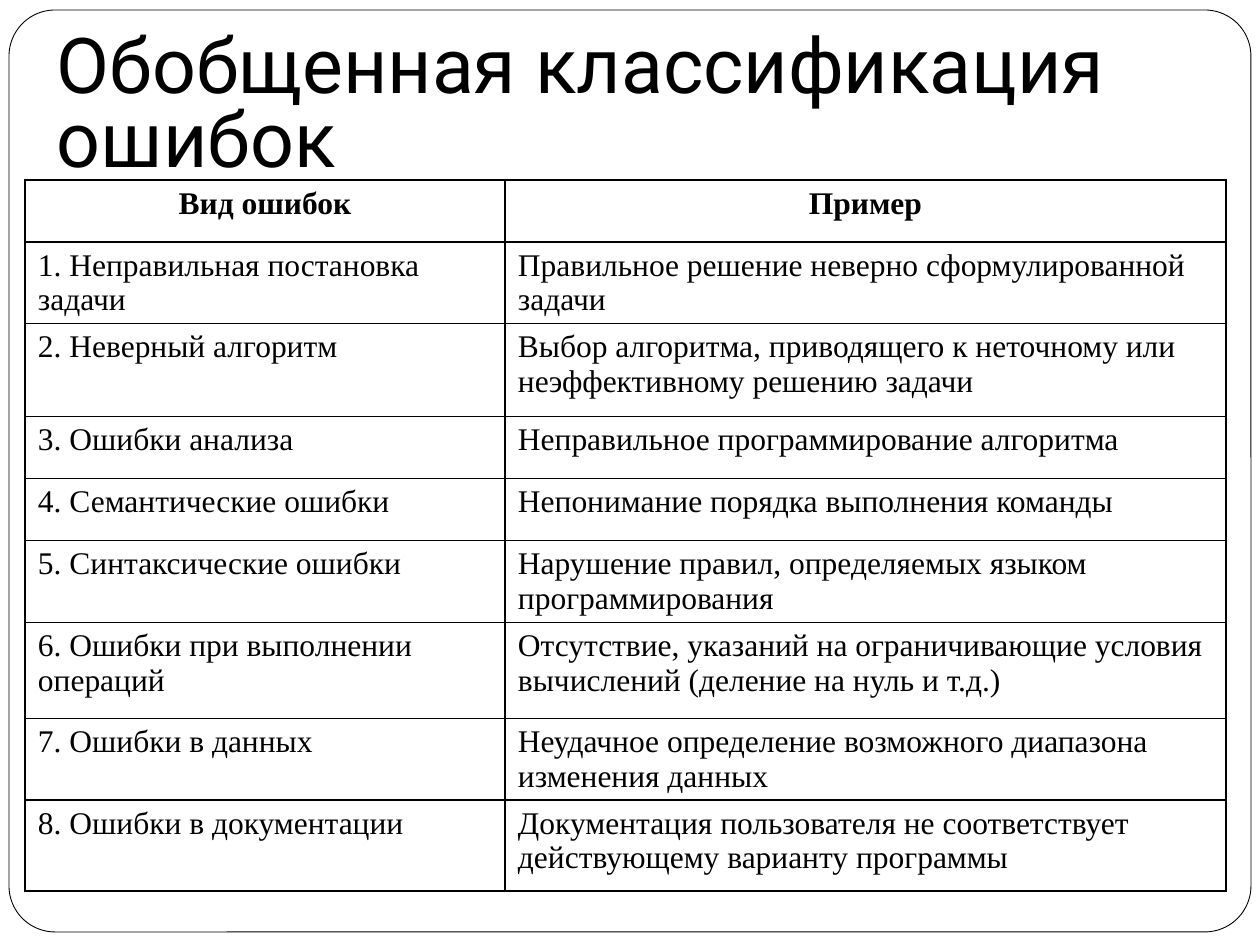
from dataclasses import dataclass

from lxml import etree
from pptx import Presentation
from pptx.dml.color import RGBColor
from pptx.enum.shapes import MSO_SHAPE
from pptx.enum.text import MSO_ANCHOR, MSO_AUTO_SIZE, PP_ALIGN
from pptx.oxml.ns import qn
from pptx.util import Pt

EMU_PER_PIXEL = 914400 // 126
ROUNDED = MSO_SHAPE.ROUNDED_RECTANGLE
BOTTOM, TOP = MSO_ANCHOR.BOTTOM, MSO_ANCHOR.TOP
NO_AUTOFIT = MSO_AUTO_SIZE.NONE
LEFT, CENTER = PP_ALIGN.LEFT, PP_ALIGN.CENTER
TITLE_ONLY_LAYOUT = 5


@dataclass(frozen=True)
class Theme:
    """Colours, fonts and type sizes of the slide."""
    ink: str = "000000"
    paper: str = "FFFFFF"
    title_font: str = "Roboto"
    table_font: str = "Times New Roman"
    title_size: int = 44
    table_size: int = 18
    frame_line: float = 0.5
    border_line: float = 1


THEME = Theme()
TITLE = "Обобщенная классификация ошибок"
COLUMN_WIDTHS = (480, 721)
ROW_HEIGHTS = (62, 79, 93, 62, 62, 79, 96, 81, 91)
ROWS = (
    ("Вид ошибок", "Пример"),
    ("1. Неправильная постановка задачи",
     "Правильное решение неверно сформулированной задачи"),
    ("2. Неверный алгоритм",
     "Выбор алгоритма, приводящего к неточному или неэффективному решению задачи"),
    ("3. Ошибки анализа", "Неправильное программирование алгоритма"),
    ("4. Семантические ошибки", "Непонимание порядка выполнения команды"),
    ("5. Синтаксические ошибки",
     "Нарушение правил, определяемых языком программирования"),
    ("6. Ошибки при выполнении операций",
     "Отсутствие, указаний на ограничивающие условия вычислений (деление на нуль и т.д.)"),
    ("7. Ошибки в данных",
     "Неудачное определение возможного диапазона изменения данных"),
    ("8. Ошибки в документации",
     "Документация пользователя не соответствует действующему варианту программы"),
)


def px(*lengths):
    """Turn pixel lengths into a list of EMU."""
    return [length * EMU_PER_PIXEL for length in lengths]


def set_values(target, values):
    """Set attributes of an object from a dict."""
    for name, value in values.items():
        setattr(target, name, value)


def write_text(text_frame, text, font, size, bold=False, align=LEFT, spacing=1.0):
    """Write one formatted paragraph into a text frame."""
    paragraph = text_frame.paragraphs[0]
    set_values(paragraph, {"alignment": align, "line_spacing": spacing})
    run = paragraph.add_run()
    run.text = text
    set_values(run.font, {"name": font, "size": Pt(size), "bold": bold})
    run.font.color.rgb = RGBColor.from_string(THEME.ink)


def add_title(slide):
    """Place and format the title placeholder."""
    title = slide.shapes.title
    left, top, width, height = px(44, 45, 1160, 150)
    set_values(title, {"left": left, "top": top, "width": width, "height": height})
    inset, thin = px(13, 6)
    set_values(title.text_frame, {
        "word_wrap": True, "auto_size": NO_AUTOFIT, "vertical_anchor": BOTTOM,
        "margin_left": inset, "margin_right": inset,
        "margin_top": thin, "margin_bottom": inset})
    write_text(title.text_frame, TITLE, THEME.title_font, THEME.title_size, spacing=0.8)
    return title


def add_frame(slide, title):
    """Draw the rounded slide frame behind the title."""
    frame = slide.shapes.add_shape(ROUNDED, *px(9, 10, 1242, 922))
    frame.adjustments[0] = 0.05
    frame.shadow.inherit = False
    frame.fill.solid()
    frame.fill.fore_color.rgb = RGBColor.from_string(THEME.paper)
    frame.line.color.rgb = RGBColor.from_string(THEME.ink)
    frame.line.width = Pt(THEME.frame_line)
    title.element.addprevious(frame.element)


def add_borders(cell):
    """Draw a line on the four sides of a cell."""
    properties = cell._tc.get_or_add_tcPr()
    for index, side in enumerate(("lnL", "lnR", "lnT", "lnB")):
        line = etree.Element(qn(f"a:{side}"), w=str(Pt(THEME.border_line)))
        fill = etree.SubElement(line, qn("a:solidFill"))
        etree.SubElement(fill, qn("a:srgbClr"), val=THEME.ink)
        properties.insert(index, line)


def fill_cell(cell, text, header):
    """Write and format one table cell."""
    inset, thin = px(13, 6)
    set_values(cell, {
        "vertical_anchor": TOP, "margin_left": inset, "margin_right": inset,
        "margin_top": thin, "margin_bottom": thin})
    cell.fill.background()
    write_text(cell.text_frame, text, THEME.table_font, THEME.table_size,
               bold=header, align=CENTER if header else LEFT)
    add_borders(cell)


def add_error_table(slide):
    """Add the table of error kinds and examples."""
    bounds = px(25, 180, sum(COLUMN_WIDTHS), sum(ROW_HEIGHTS))
    table = slide.shapes.add_table(len(ROWS), len(COLUMN_WIDTHS), *bounds).table
    set_values(table, {"first_row": False, "horz_banding": False})
    for column, width in zip(table.columns, px(*COLUMN_WIDTHS)):
        column.width = width
    for row, height in zip(table.rows, px(*ROW_HEIGHTS)):
        row.height = height
    for row_index, texts in enumerate(ROWS):
        for column_index, text in enumerate(texts):
            fill_cell(table.cell(row_index, column_index), text, row_index == 0)


def main():
    """Build and save the slide."""
    presentation = Presentation()
    width, height = px(1260, 945)
    set_values(presentation, {"slide_width": width, "slide_height": height})
    slide = presentation.slides.add_slide(presentation.slide_layouts[TITLE_ONLY_LAYOUT])
    title = add_title(slide)
    add_frame(slide, title)
    add_error_table(slide)
    presentation.save("out.pptx")


main()
